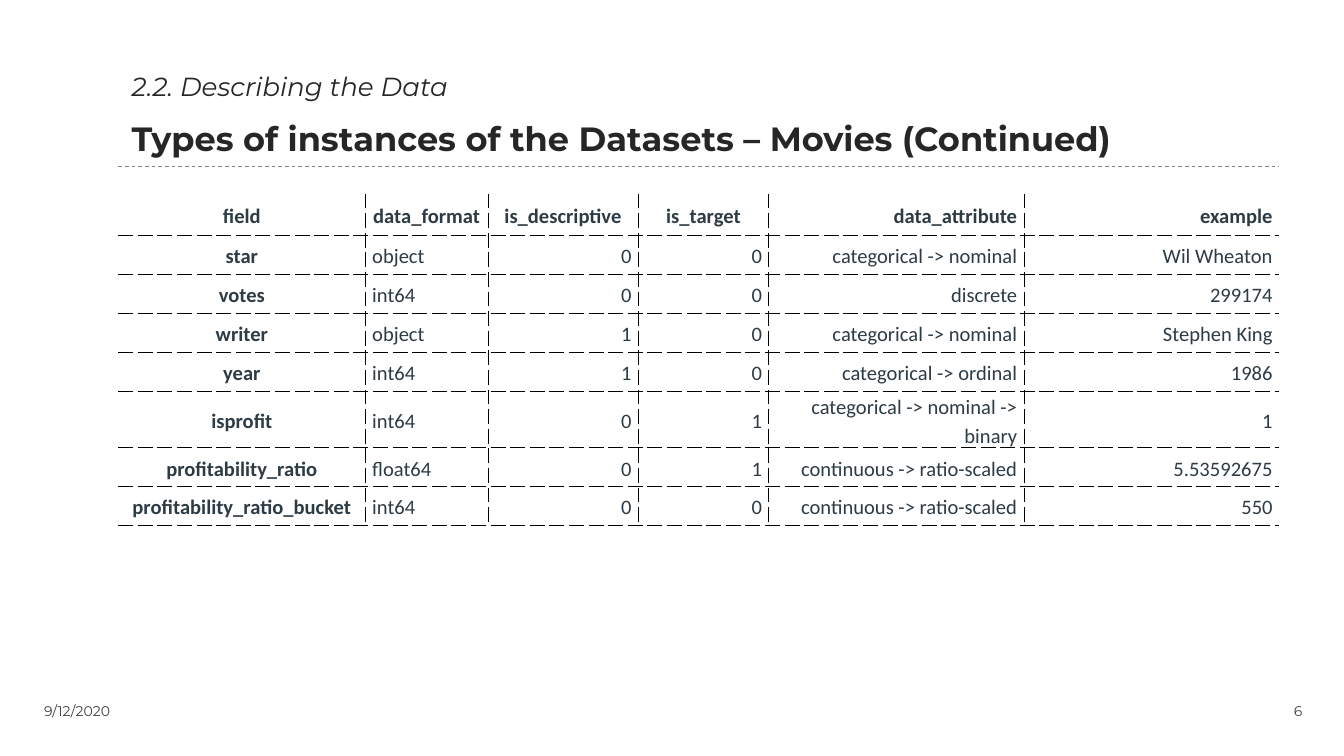
import pptx
import pptx.dml.color
import pptx.enum.dml
import pptx.enum.shapes
import pptx.enum.text
import pptx.oxml
import pptx.oxml.ns
import pptx.util

Inches = pptx.util.Inches
Pt = pptx.util.Pt
Align = pptx.enum.text.PP_ALIGN
Anchor = pptx.enum.text.MSO_ANCHOR

COLUMN_WIDTHS = [1.84, 0.91, 1.12, 0.97, 1.9, 1.9]
HEADER_ALIGNS = [Align.CENTER] * 4 + [Align.RIGHT] * 2
BODY_ALIGNS = [Align.CENTER, Align.LEFT] + [Align.RIGHT] * 4
FIELDS = [
    ["field", "data_format", "is_descriptive", "is_target", "data_attribute", "example"],
    ["star", "object", "0", "0", "categorical -> nominal", "Wil Wheaton"],
    ["votes", "int64", "0", "0", "discrete", "299174"],
    ["writer", "object", "1", "0", "categorical -> nominal", "Stephen King"],
    ["year", "int64", "1", "0", "categorical -> ordinal", "1986"],
    ["isprofit", "int64", "0", "1", "categorical -> nominal -> binary", "1"],
    ["profitability_ratio", "float64", "0", "1", "continuous -> ratio-scaled", "5.53592675"],
    ["profitability_ratio_bucket", "int64", "0", "0", "continuous -> ratio-scaled", "550"],
]


def rgb(color):
    return pptx.dml.color.RGBColor.from_string(color)


def set_font(font, name, size, color, bold=False, italic=False):
    font.name = name
    font.size = Pt(size)
    font.color.rgb = rgb(color)
    font.bold = bold
    font.italic = italic


def fill_title(title, section, heading):
    title.left, title.top = Inches(0.88), Inches(0.38)
    title.width, title.height = Inches(8.65), Inches(0.86)
    frame = title.text_frame
    frame.auto_size = pptx.enum.text.MSO_AUTO_SIZE.NONE
    frame.vertical_anchor = Anchor.TOP
    paragraph = frame.paragraphs[0]
    paragraph.alignment = Align.LEFT
    paragraph.line_spacing = 1.4
    section_run = paragraph.add_run()
    section_run.text = section
    set_font(section_run.font, "Montserrat", 14, "262626", italic=True)
    paragraph.add_line_break()
    heading_run = paragraph.add_run()
    heading_run.text = heading
    set_font(heading_run.font, "Montserrat", 18, "262626", bold=True)


def add_footer(slide, text, left, width, alignment):
    footer = slide.shapes.add_textbox(Inches(left), Inches(5.17), Inches(width), Inches(0.23))
    frame = footer.text_frame
    frame.word_wrap = True
    frame.vertical_anchor = Anchor.BOTTOM
    paragraph = frame.paragraphs[0]
    paragraph.text = text
    paragraph.alignment = alignment
    set_font(paragraph.font, "Montserrat", 7.5, "404040")


def add_title_rule(slide):
    rule = slide.shapes.add_connector(
        pptx.enum.shapes.MSO_CONNECTOR.STRAIGHT,
        Inches(0.88), Inches(1.24), Inches(9.52), Inches(1.24))
    rule.line.color.rgb = rgb("808080")
    rule.line.width = Pt(0.5)
    rule.line.dash_style = pptx.enum.dml.MSO_LINE.DASH
    properties = rule._element.spPr
    properties.append(properties.makeelement(pptx.oxml.ns.qn("a:effectLst"), {}))


def set_borders(cell, visible):
    properties = cell._tc.get_or_add_tcPr()
    namespace = pptx.oxml.ns.nsdecls("a")
    dashed = '<a:solidFill><a:srgbClr val="000000"/></a:solidFill><a:prstDash val="dash"/>'
    for position, side in enumerate("LRTB"):
        stroke = dashed if side in visible else "<a:noFill/>"
        border = pptx.oxml.parse_xml(
            f'<a:ln{side} {namespace} w="{Pt(0.25)}">{stroke}</a:ln{side}>')
        properties.insert(position, border)


def fill_cell(cell, text, alignment, bold):
    cell.fill.background()
    cell.vertical_anchor = Anchor.MIDDLE
    cell.margin_left = cell.margin_right = Inches(0.05)
    cell.margin_top = cell.margin_bottom = 0
    paragraph = cell.text_frame.paragraphs[0]
    paragraph.text = text
    paragraph.alignment = alignment
    paragraph.line_spacing = 1.15
    set_font(paragraph.font, "Calibri", 11, "2D3B45", bold=bold)


def add_field_table(slide):
    table = slide.shapes.add_table(
        len(FIELDS), len(COLUMN_WIDTHS),
        Inches(0.88), Inches(1.44), Inches(8.65), Inches(2.44)).table
    table.first_row = table.horz_banding = False
    for column, width in zip(table.columns, COLUMN_WIDTHS):
        column.width = Inches(width)
    last_column = len(COLUMN_WIDTHS) - 1
    for r, values in enumerate(FIELDS):
        table.rows[r].height = Inches(0.29 if r else 0.31)
        aligns = BODY_ALIGNS if r else HEADER_ALIGNS
        for c, (value, alignment) in enumerate(zip(values, aligns)):
            cell = table.cell(r, c)
            fill_cell(cell, value, alignment, bold=r == 0 or c == 0)
            visible = "B" + "T" * (r > 0) + "L" * (c > 0) + "R" * (c < last_column)
            set_borders(cell, visible)


def main():
    deck = pptx.Presentation()
    deck.slide_width = Inches(10)
    deck.slide_height = deck.slide_width * 9 // 16
    slide = deck.slides.add_slide(deck.slide_layouts[5])
    fill_title(slide.shapes.title, "2.2. Describing the Data",
               "Types of instances of the Datasets – Movies (Continued)")
    add_footer(slide, "9/12/2020", 0.23, 2.25, Align.LEFT)
    add_footer(slide, "6", 8.59, 1.2, Align.RIGHT)
    add_title_rule(slide)
    add_field_table(slide)
    deck.save("out.pptx")


if __name__ == "__main__":
    main()
